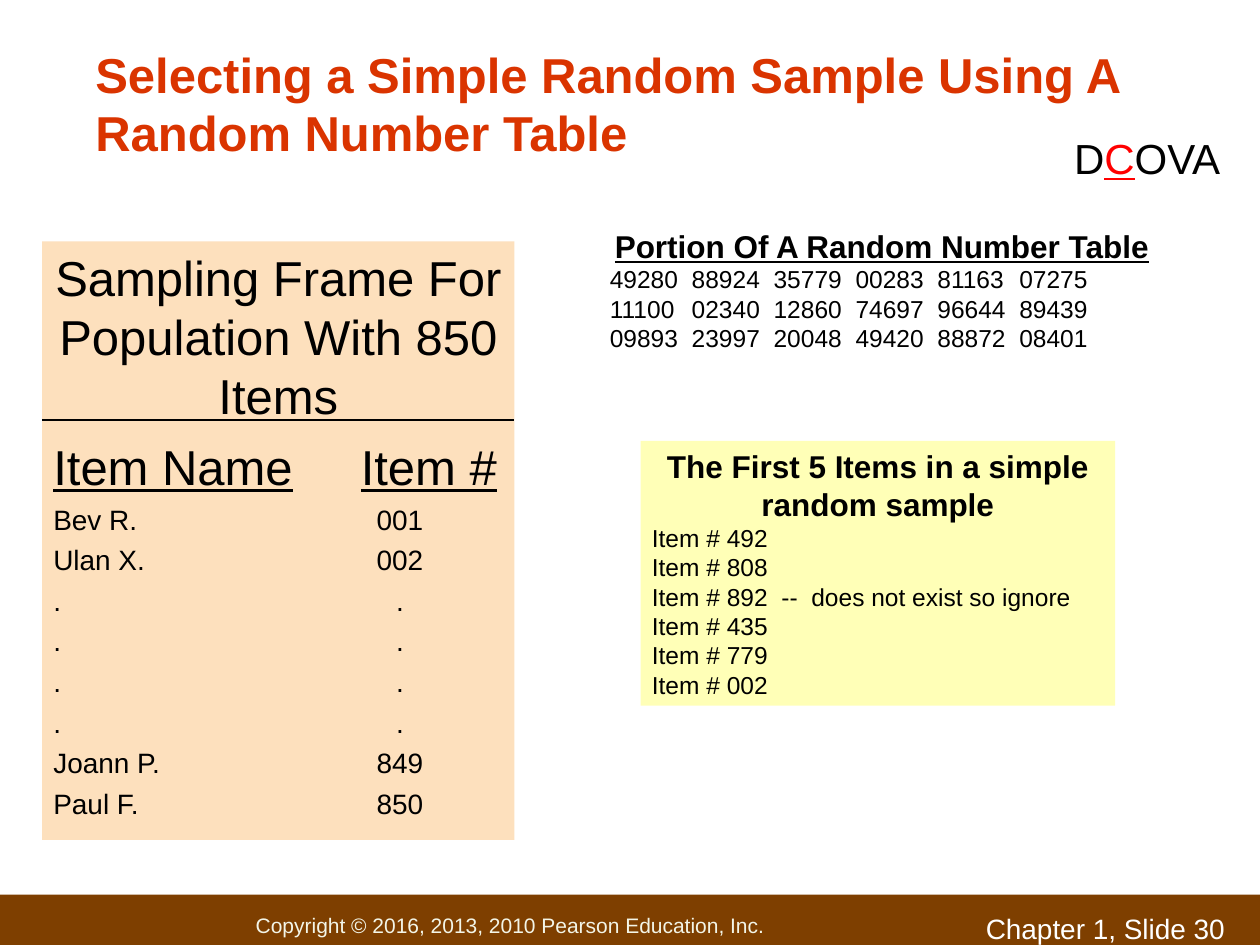
from pptx import Presentation
from pptx.dml.color import RGBColor
from pptx.enum.shapes import MSO_CONNECTOR, MSO_SHAPE
from pptx.enum.text import MSO_ANCHOR, PP_ALIGN
from pptx.oxml.xmlchemy import OxmlElement
from pptx.util import Inches, Pt

COLUMNS, ROWS = 120, 90
WIDTH, HEIGHT = Inches(10), Inches(7.5)
FONT = "Arial"
COLORS = {
    "title": "DA3400", "black": "000000", "white": "FFFFFF", "red": "FF0000",
    "bar": "7E3F00", "copyright": "F3F5E7", "frame": "FDE0BD", "sample": "FFFFB7",
}
FRAME_ROWS = (
    [("Bev R.", "001"), ("Ulan X.", "002")]
    + [(".", ".")] * 4
    + [("Joann P.", "849"), ("Paul F.", "850")]
)
RANDOM_NUMBERS = [
    "49280 88924 35779 00283 81163 07275",
    "11100 02340 12860 74697 96644 89439",
    "09893 23997 20048 49420 88872 08401",
]
SAMPLE_ITEMS = ["492", "808", "892  --  does not exist so ignore", "435", "779", "002"]


def color(name):
    """Return the named colour."""
    return RGBColor.from_string(COLORS[name])


def grid(column, row):
    """Turn a grid position into slide lengths."""
    return int(WIDTH * column / COLUMNS), int(HEIGHT * row / ROWS)


def add_panel(slide, column, row, columns, rows, fill=None, anchor=MSO_ANCHOR.TOP, wrap=True):
    """Add a text area on the grid, with a fill if one is named."""
    place = grid(column, row) + grid(columns, rows)
    if fill:
        shape = slide.shapes.add_shape(MSO_SHAPE.RECTANGLE, *place)
        shape.shadow.inherit = False
        shape.fill.solid()
        shape.fill.fore_color.rgb = color(fill)
        shape.line.fill.background()
    else:
        shape = slide.shapes.add_textbox(*place)
    frame = shape.text_frame
    frame.word_wrap = wrap
    frame.vertical_anchor = anchor
    frame.margin_left = frame.margin_right = Inches(0.09)
    frame.margin_top = frame.margin_bottom = Inches(0.05)
    return frame


def style_run(run, size, name="black", bold=False, underline=False):
    """Format one run."""
    font = run.font
    font.name, font.size = FONT, Pt(size)
    font.bold, font.underline = bold, underline
    font.color.rgb = color(name)


def style(paragraph, size, name="black", align=PP_ALIGN.LEFT, before=0, tabs=(), **options):
    """Format a paragraph, its tab stops and its runs."""
    paragraph.alignment = align
    paragraph.space_before = Pt(before)
    if tabs:
        tab_list = OxmlElement("a:tabLst")
        for position, kind in tabs:
            tab = OxmlElement("a:tab")
            tab.set("pos", str(Inches(position)))
            tab.set("algn", kind)
            tab_list.append(tab)
        paragraph._p.get_or_add_pPr().append(tab_list)
    for run in paragraph.runs:
        style_run(run, size, name, **options)


def add_rule(slide, start, end):
    """Add a thin black line between two grid points."""
    line = slide.shapes.add_connector(MSO_CONNECTOR.STRAIGHT, *grid(*start), *grid(*end))
    line.line.color.rgb = color("black")
    line.line.width = Pt(0.75)
    line._element.spPr.append(OxmlElement("a:effectLst"))


def add_footer(slide):
    """Add the bottom bar with copyright line and slide number."""
    bar = add_panel(slide, 0, 85.2, COLUMNS, 4.8, "bar", MSO_ANCHOR.MIDDLE)
    bar.margin_left, bar.margin_top, bar.margin_bottom = Inches(2.03), Inches(0.09), 0
    bar.text = "Copyright © 2016, 2013, 2010 Pearson Education, Inc."
    style(bar.paragraphs[0], 12, "copyright")
    number = add_panel(slide, 92.8, 86.2, 27.2, 3.1)
    number.text = "Chapter 1, Slide 30"
    style(number.paragraphs[0], 16, "white")


def add_heading(slide):
    """Add the title and the DCOVA step marker."""
    title = add_panel(slide, 8, 3, 104, 13, anchor=MSO_ANCHOR.BOTTOM)
    title.text = "Selecting a Simple Random Sample Using A Random Number Table"
    style(title.paragraphs[0], 28, "title", bold=True)
    marker = add_panel(slide, 101, 12, 16.5, 6, wrap=False).paragraphs[0]
    marker.alignment = PP_ALIGN.CENTER
    for text, name in (("D", "black"), ("C", "red"), ("OVA", "black")):
        run = marker.add_run()
        run.text = text
        style_run(run, 24, name, underline=name == "red")


def add_sampling_frame(slide):
    """Add the list of the population's items."""
    frame = add_panel(slide, 4, 23, 45, 57, "frame")
    lines = ["Sampling Frame For Population With 850 Items", "Item Name\tItem #"]
    frame.text = "\n".join(lines + ["\t".join(row) for row in FRAME_ROWS])
    heading, labels, *items = frame.paragraphs
    style(heading, 28, align=PP_ALIGN.CENTER)
    style(labels, 28, before=7, tabs=[(2.44, "l")], underline=True)
    for item in items:
        style(item, 16, before=4, tabs=[(2.75, "ctr")])
    add_rule(slide, (4, 40), (49, 40))


def add_headed_list(frame, heading, lines, tabs=(), underline=False):
    """Fill a panel with a bold centred heading and small lines."""
    frame.text = "\n".join([heading] + lines)
    first, *rest = frame.paragraphs
    style(first, 18, align=PP_ALIGN.CENTER, bold=True, underline=underline)
    for paragraph in rest:
        style(paragraph, 14, tabs=tabs)


def main():
    """Build the slide and save it."""
    presentation = Presentation()
    presentation.slide_width, presentation.slide_height = WIDTH, HEIGHT
    slide = presentation.slides.add_slide(presentation.slide_layouts[6])
    add_footer(slide)
    add_heading(slide)
    add_sampling_frame(slide)
    add_headed_list(
        add_panel(slide, 57, 21, 54, 13.2),
        "Portion Of A Random Number Table",
        [line.replace(" ", "\t") for line in RANDOM_NUMBERS],
        tabs=[(0.65 * stop, "l") for stop in range(1, 6)],
        underline=True,
    )
    add_headed_list(
        add_panel(slide, 61, 42, 45.2, 25.2, "sample"),
        "The First 5 Items in a simple random sample",
        [f"Item # {item}" for item in SAMPLE_ITEMS],
    )
    presentation.save("out.pptx")


if __name__ == "__main__":
    main()
